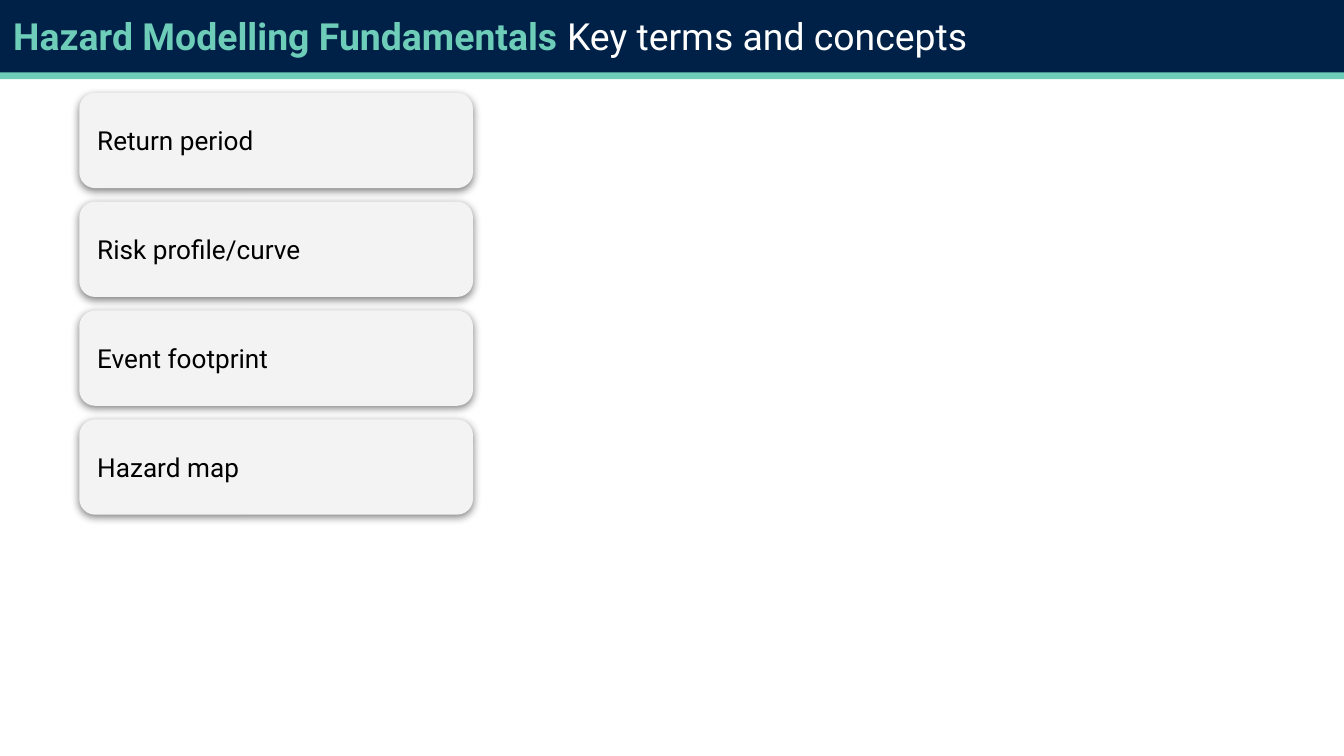
from pptx import Presentation
from pptx.dml.color import RGBColor
from pptx.enum import shapes, text
from pptx.oxml import parse_xml
from pptx.util import Inches, Pt

TEAL = RGBColor(0x6D, 0xCD, 0xB8)
NAVY = RGBColor(0x00, 0x21, 0x47)
GREY = RGBColor(0xF3, 0xF3, 0xF3)
WHITE = RGBColor(0xFF, 0xFF, 0xFF)
BLACK = RGBColor(0, 0, 0)
FONT = "Roboto"

# Content
TITLE = [("Hazard Modelling Fundamentals", TEAL, True),
         (" Key terms and concepts", WHITE, False)]
TERMS = ["Return period", "Risk profile/curve", "Event footprint", "Hazard map"]
BANDS = [(0.05, TEAL), (0, NAVY)]

# Slide and card grid, in inches
WIDE = 10
HIGH = WIDE * 9 / 16
LEFT, TOP, WIDTH, HEIGHT, STEP = 0.59, 0.69, 2.93, 0.71, 0.81

SHADOW = """<a:effectLst
  xmlns:a="http://schemas.openxmlformats.org/drawingml/2006/main">
  <a:outerShdw blurRad="57150" dist="19050" dir="5400000" algn="bl" rotWithShape="0">
    <a:srgbClr val="000000"><a:alpha val="50000"/></a:srgbClr>
  </a:outerShdw>
</a:effectLst>"""


def add_box(slide, kind, x, y, w, h, fill):
    box = slide.shapes.add_shape(kind, Inches(x), Inches(y), Inches(w), Inches(h))
    box.shadow.inherit = False
    box.fill.solid()
    box.fill.fore_color.rgb = fill
    box.line.fill.background()
    return box


def write(shape, runs, size, anchor):
    frame = shape.text_frame
    frame.word_wrap = True
    frame.vertical_anchor = anchor
    frame.margin_left = frame.margin_right = Inches(0.1)
    frame.margin_top = frame.margin_bottom = Inches(0.1)
    para = frame.paragraphs[0]
    para.alignment = text.PP_ALIGN.LEFT
    for words, color, bold in runs:
        run = para.add_run()
        run.text = words
        run.font.name = FONT
        run.font.size = Pt(size)
        run.font.bold = bold
        run.font.color.rgb = color


def add_shadow(shape):
    props = shape.element.spPr
    old = props.find("{*}effectLst")
    props.replace(old, parse_xml(SHADOW))


deck = Presentation()
deck.slide_width, deck.slide_height = Inches(WIDE), Inches(HIGH)
slide = deck.slides.add_slide(deck.slide_layouts[6])

# Header bands and title
for y, color in BANDS:
    add_box(slide, shapes.MSO_SHAPE.RECTANGLE, 0, y, WIDE, 0.54, color)
title = slide.shapes.add_textbox(0, 0, Inches(9.32), Inches(0.63))
write(title, TITLE, 20, text.MSO_ANCHOR.TOP)

# Term cards
for i, term in enumerate(TERMS):
    card = add_box(slide, shapes.MSO_SHAPE.ROUNDED_RECTANGLE,
                   LEFT, TOP + i * STEP, WIDTH, HEIGHT, GREY)
    card.adjustments[0] = 0.167
    add_shadow(card)
    write(card, [(term, BLACK, False)], 14, text.MSO_ANCHOR.MIDDLE)

deck.save("out.pptx")
